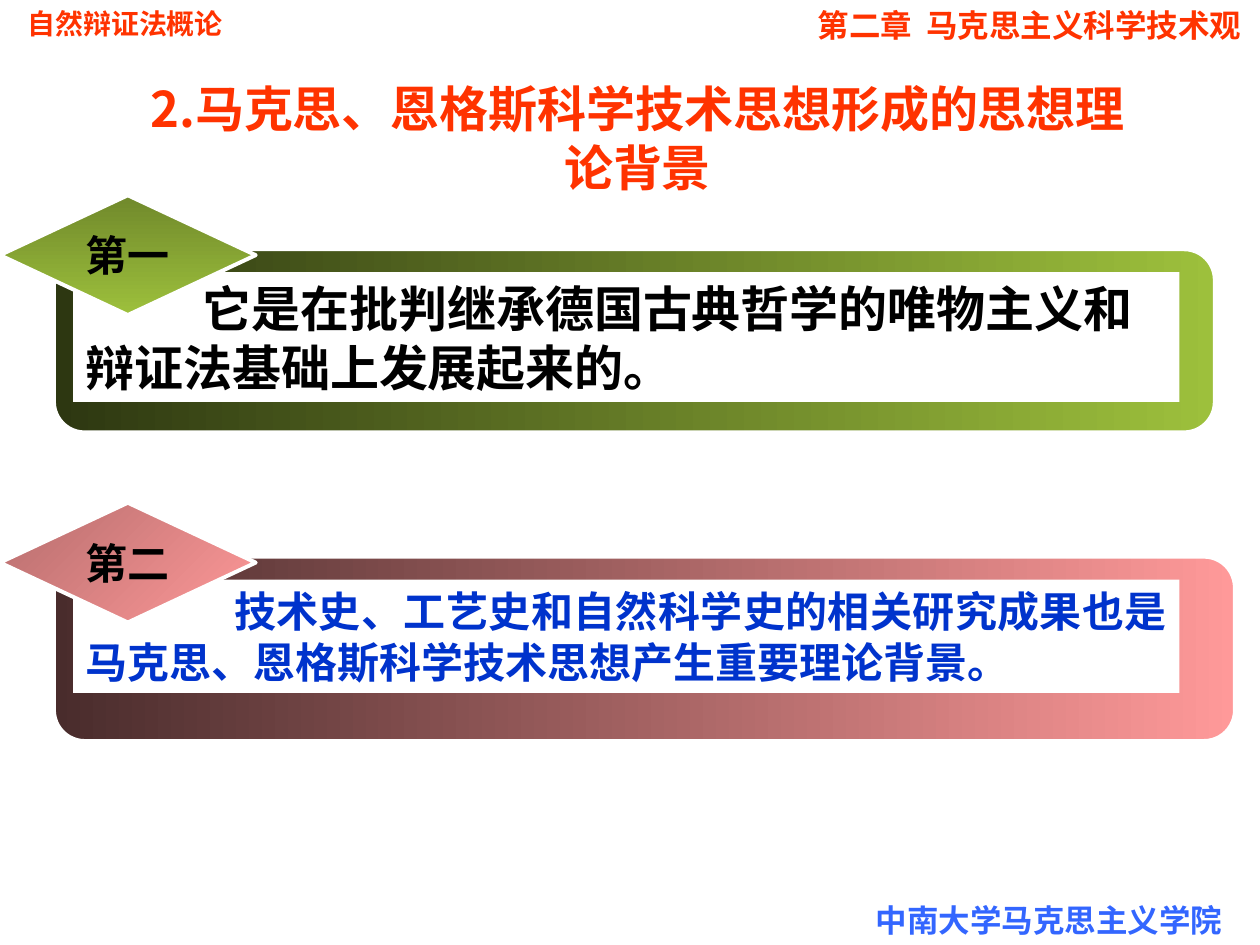
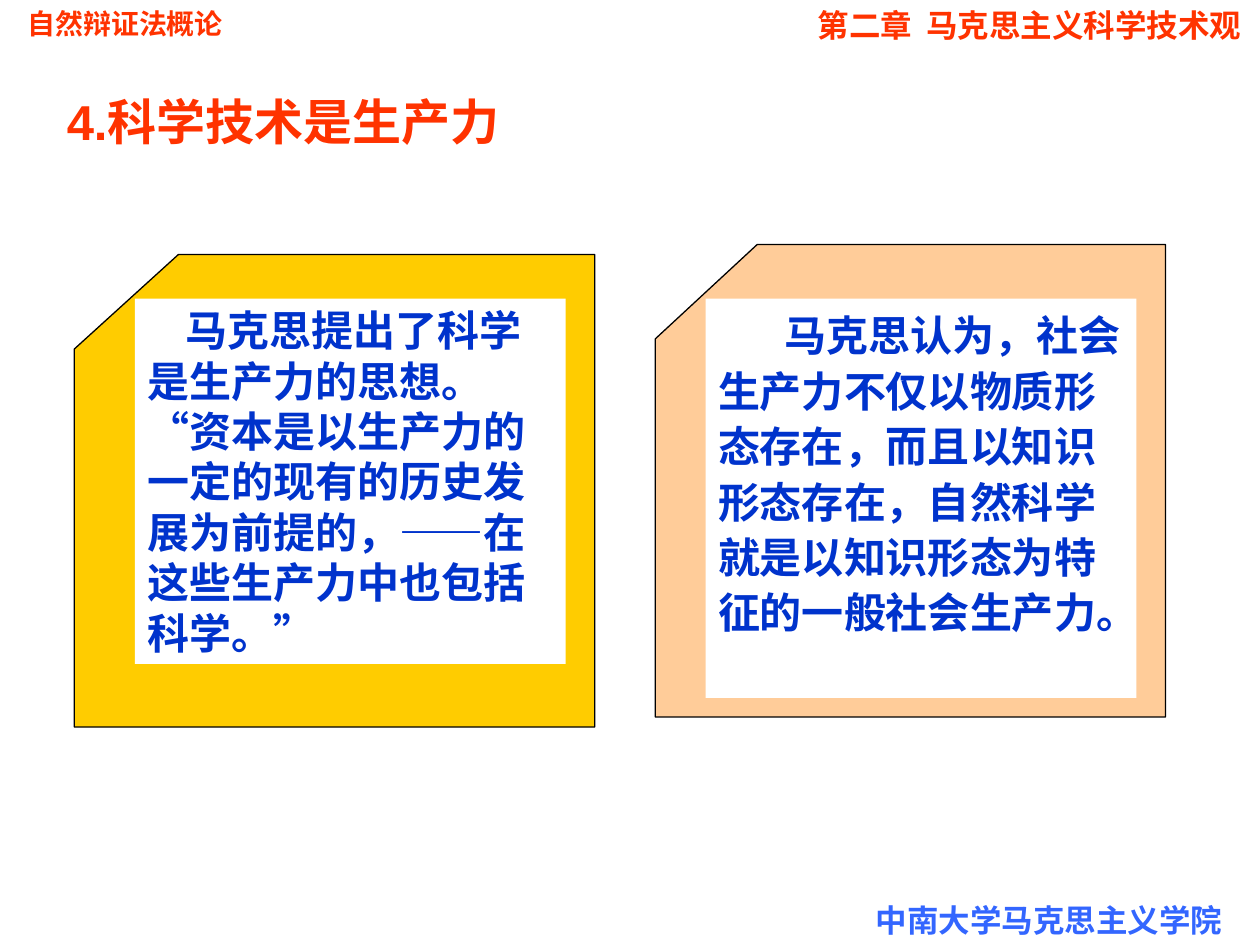
from pptx import Presentation
from pptx.dml.color import RGBColor
from pptx.enum.lang import MSO_LANGUAGE_ID
from pptx.enum.shapes import MSO_SHAPE
from pptx.enum.text import MSO_ANCHOR, MSO_AUTO_SIZE, PP_ALIGN
from pptx.oxml import parse_xml
from pptx.oxml.ns import nsdecls
from pptx.util import Inches, Pt

RECT = MSO_SHAPE.RECTANGLE
ROUND = MSO_SHAPE.ROUNDED_RECTANGLE
DIAMOND = MSO_SHAPE.DIAMOND
CARD = MSO_SHAPE.FLOWCHART_CARD
TOP, MIDDLE, BOTTOM = MSO_ANCHOR.TOP, MSO_ANCHOR.MIDDLE, MSO_ANCHOR.BOTTOM
LEFT, CENTER, JUSTIFY = PP_ALIGN.LEFT, PP_ALIGN.CENTER, PP_ALIGN.JUSTIFY
FIXED = MSO_AUTO_SIZE.NONE
CHINESE = MSO_LANGUAGE_ID.SIMPLIFIED_CHINESE

LATIN = "Arial"
HAN = "Noto Sans CJK SC"
RED, SKY, BLUE = "FF3300", "3366FF", "0033CC"
BLACK, WHITE = "000000", "FFFFFF"


def color(code):
    return RGBColor.from_string(code)


def write(shape, runs, size, ink, align=LEFT, anchor=TOP, indent=0, wrap=True, spacing=None):
    frame = shape.text_frame
    frame.auto_size = FIXED
    frame.word_wrap = wrap
    frame.vertical_anchor = anchor
    para = frame.paragraphs[0]
    para.alignment = align
    if spacing:
        para.line_spacing = spacing
    if indent:
        props = para._p.get_or_add_pPr()
        props.set("marL", "0")
        props.set("indent", str(Inches(indent)))
    for text, face in runs:
        run = para.add_run()
        run.text = text
        font = run.font
        font.name = face
        font.size = Pt(size)
        font.bold = True
        font.color.rgb = color(ink)
        font.language_id = CHINESE
        run._r.get_or_add_rPr().append(
            parse_xml(f'<a:ea {nsdecls("a")} typeface="{HAN}"/>'))


def place(shape, box):
    shape.left, shape.top, shape.width, shape.height = map(Inches, box)


def draw(slide, kind, box, fill, line=None, width=0, angle=0):
    shape = slide.shapes.add_shape(kind, *map(Inches, box))
    shape.shadow.inherit = False
    if isinstance(fill, tuple):
        shape.fill.gradient()
        shape.fill.gradient_angle = -angle % 360
        for stop, code in zip(shape.fill.gradient_stops, fill):
            stop.color.rgb = color(code)
    else:
        shape.fill.solid()
        shape.fill.fore_color.rgb = color(fill)
    if line:
        shape.line.color.rgb = color(line)
        shape.line.width = Pt(width)
    else:
        shape.line.fill.background()
    return shape


def label(slide, box, text, size, ink, align=LEFT):
    shape = slide.shapes.add_textbox(*map(Inches, box))
    write(shape, [(text, LATIN)], size, ink, align)


def start(deck, title, box, face, align, anchor):
    slide = deck.slides.add_slide(deck.slide_layouts[5])
    label(slide, (0.12, 0, 3.78, 0.37), "自然辩证法概论", 16, RED)
    label(slide, (6.85, 7.1, 3.15, 0.4), "中南大学马克思主义学院", 18, SKY)
    label(slide, (6.34, 0, 3.66, 0.4), "第二章  马克思主义科学技术观", 18, RED, CENTER)
    head = slide.shapes.title
    place(head, box)
    write(head, [(title, face)], 28, RED, align, anchor)
    return slide


def panel(slide, box, name, text, frame, gem, angle, depth, size, ink, align, indent):
    left, top, width, height = box
    draw(slide, ROUND, (left + 0.43, top + 0.43, width - 0.43, height - 0.43),
         frame, WHITE, 2)
    paper = draw(slide, RECT, (left + 0.58, top + 0.61, 8.78, depth), WHITE)
    write(paper, [(text, LATIN)], size, ink, align, indent=indent)
    badge = draw(slide, DIAMOND, (left, top, 2.03, 0.95), gem, WHITE, 2.25, angle)
    write(badge, [(name, LATIN)], 24, BLACK, CENTER, MIDDLE, wrap=False)


def card(slide, box, fill, inset, depth, runs, indent, spacing=None):
    left, top = box[:2]
    draw(slide, CARD, box, fill, BLACK, 0.75)
    paper = draw(slide, RECT, (left + inset[0], top + inset[1], 3.42, depth), WHITE)
    write(paper, runs, 24, BLUE, indent=indent, spacing=spacing)


def theory(deck):
    slide = start(deck, "2.马克思、恩格斯科学技术思想形成的思想理论背景",
                  (1.06, 0.36, 8, 1.25), HAN, CENTER, BOTTOM)
    panel(slide, (0, 1.55, 9.64, 1.88), "第一",
          "它是在批判继承德国古典哲学的唯物主义和辩证法基础上发展起来的。",
          ("2D3711", "9DC03C"), ("70892B", "9DC03C"), 90, 1.03, 28, BLACK, LEFT, 0.93)
    panel(slide, (0, 3.99, 9.8, 1.89), "第二",
          "技术史、工艺史和自然科学史的相关研究成果也是马克思、恩格斯科学技术思想产生重要理论背景。",
          ("492C2C", "FF9999"), ("B66D6D", "FF9999"), 45, 0.9, 24, BLUE, JUSTIFY, 1.18)


def force(deck):
    slide = start(deck, "4.科学技术是生产力", (0.43, 0.68, 5.12, 0.57), LATIN, LEFT, TOP)
    quote = [
        ("马克思提出了科学是生产力的思想。", HAN),
        ("“", LATIN),
        ("资本是以生产力的一定的现有的历史发展为前提的，", HAN),
        ("——", LATIN),
        ("在这些生产力中也包括科学。", HAN),
        ("”", LATIN),
    ]
    view = [("马克思认为，社会生产力不仅以物质形态存在，而且以知识形态存在，"
             "自然科学就是以知识形态为特征的一般社会生产力。", LATIN)]
    card(slide, (0.59, 2.02, 4.13, 3.75), "FFCC00", (0.48, 0.35), 2.9, quote, 0.3)
    card(slide, (5.2, 1.94, 4.05, 3.75), "FFCC99", (0.4, 0.43), 3.17, view, 0.53, 1.1)


def main():
    deck = Presentation()
    deck.slide_width, deck.slide_height = Inches(10), Inches(7.5)
    theory(deck)
    force(deck)
    deck.save("out.pptx")


if __name__ == "__main__":
    main()
